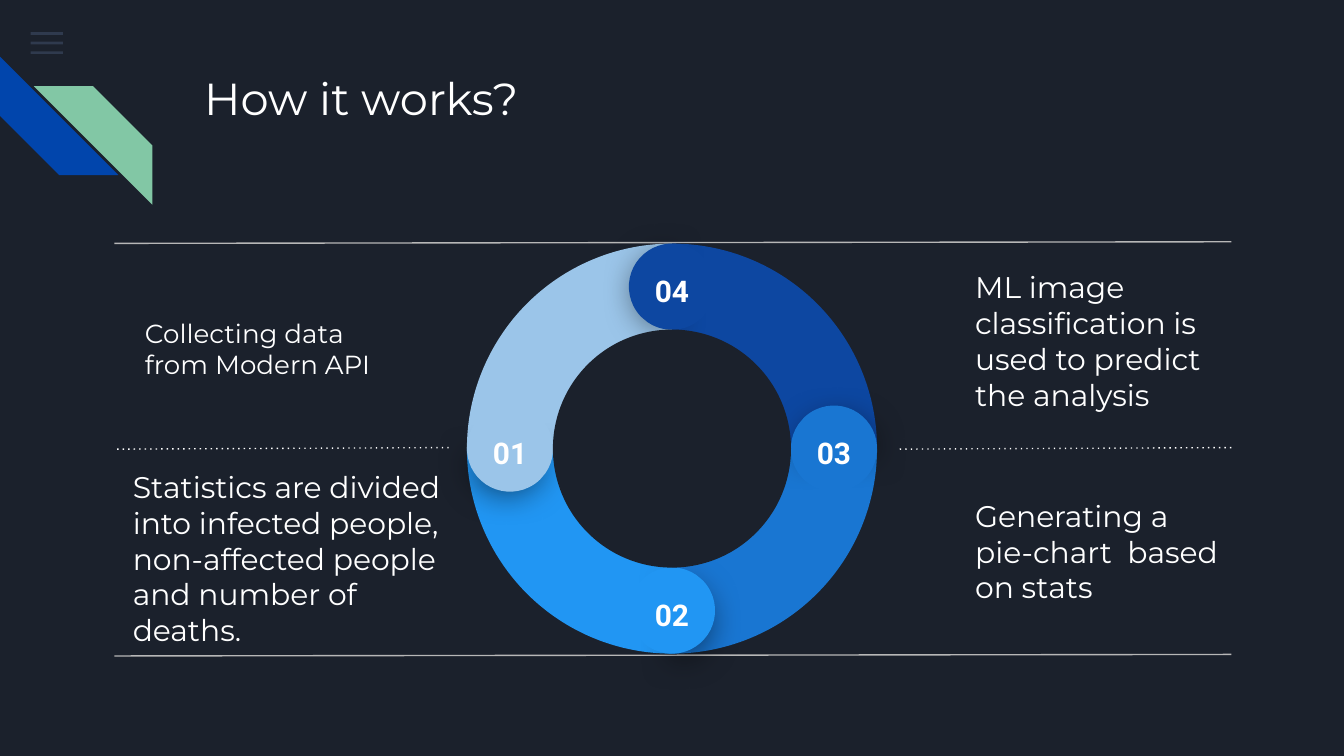
from dataclasses import dataclass
from math import cos, radians, sin

from lxml.etree import SubElement
from pptx import Presentation
from pptx.dml.color import RGBColor
from pptx.enum.shapes import MSO_CONNECTOR, MSO_SHAPE as SHAPE
from pptx.enum.text import MSO_ANCHOR as ANCHOR, MSO_AUTO_SIZE, PP_ALIGN as ALIGN
from pptx.oxml.ns import qn
from pptx.util import Cm, Pt


@dataclass(frozen=True)
class Theme:
    background: str = "1B212C"
    text: str = "FFFFFF"
    rule: str = "B7B7B7"
    menu: str = "55688B"
    stripe_blue: str = "0145AC"
    stripe_green: str = "82C7A5"
    shadow: str = "000000"
    steps: tuple = ("9BC5E9", "2196F3", "1976D2", "0D47A1")
    font: str = "Montserrat"
    number_font: str = "Roboto"
    title_size: int = 24
    body_size: int = 16
    small_size: int = 14


def angles(*degrees):
    """Turn degrees into python-pptx adjustments (60000ths over 100000)."""
    return [d * 0.6 for d in degrees]


class SlideBuilder:
    def __init__(self, slide, theme):
        self.slide = slide
        self.theme = theme
        fill = slide.background.fill
        fill.solid()
        fill.fore_color.rgb = RGBColor.from_string(theme.background)

    def shape(self, kind, x, y, w, h, color, adj=(), rot=0, flip=False, alpha=None):
        sp = self.slide.shapes.add_shape(kind, Cm(x), Cm(y), Cm(w), Cm(h))
        sp.shadow.inherit = False
        sp.fill.solid()
        sp.fill.fore_color.rgb = RGBColor.from_string(color)
        sp.line.fill.background()
        sp.rotation = rot
        for i, value in enumerate(adj):
            sp.adjustments[i] = value
        spPr = sp._element.spPr
        if flip:
            spPr.find(qn("a:xfrm")).set("flipH", "1")
        if alpha:
            clr = spPr.find(qn("a:solidFill")).find(qn("a:srgbClr"))
            SubElement(clr, qn("a:alpha"), val=str(alpha * 1000))
        return sp

    def disc(self, kind, cx, cy, size, color, **options):
        """Add a round shape by its centre."""
        return self.shape(kind, cx - size / 2, cy - size / 2, size, size, color, **options)

    def cast_shadow(self, sp):
        effects = sp._element.spPr.find(qn("a:effectLst"))
        outer = SubElement(effects, qn("a:outerShdw"), blurRad=str(Pt(18)),
                           dist=str(Pt(4)), dir="5400000", rotWithShape="0")
        clr = SubElement(outer, qn("a:srgbClr"), val=self.theme.shadow)
        SubElement(clr, qn("a:alpha"), val="55000")

    def line(self, x1, y1, x2, y2, color, dotted=False):
        cxn = self.slide.shapes.add_connector(
            MSO_CONNECTOR.STRAIGHT, Cm(x1), Cm(y1), Cm(x2), Cm(y2))
        cxn.line.color.rgb = RGBColor.from_string(color)
        cxn.line.width = Pt(0.75)
        spPr = cxn._element.spPr
        if dotted:
            SubElement(spPr.find(qn("a:ln")), qn("a:prstDash"), val="dot")
        SubElement(spPr, qn("a:effectLst"))

    def set_text(self, sp, text, size, font, bold=False, align=ALIGN.LEFT, anchor=ANCHOR.TOP):
        tf = sp.text_frame
        tf.word_wrap = True
        tf.auto_size = MSO_AUTO_SIZE.NONE
        tf.vertical_anchor = anchor
        tf.margin_left = tf.margin_right = tf.margin_top = tf.margin_bottom = Cm(0.25)
        p = tf.paragraphs[0]
        p.alignment = align
        r = p.add_run()
        r.text = text
        r.font.size = Pt(size)
        r.font.name = font
        r.font.bold = bold
        r.font.color.rgb = RGBColor.from_string(self.theme.text)

    def title(self, text, x, y, w, h):
        sp = self.slide.shapes.title
        sp.left, sp.top, sp.width, sp.height = Cm(x), Cm(y), Cm(w), Cm(h)
        self.set_text(sp, text, self.theme.title_size, self.theme.font)

    def textbox(self, text, x, y, w, h, size, font=None, **options):
        sp = self.slide.shapes.add_textbox(Cm(x), Cm(y), Cm(w), Cm(h))
        self.set_text(sp, text, size, font or self.theme.font, **options)


def add_corner(s):
    t = s.theme
    for i in range(3):
        s.shape(SHAPE.RECTANGLE, 0.58, 0.61 + 0.18 * i, 0.61, 0.05, t.menu, alpha=36)
    s.shape(SHAPE.DIAGONAL_STRIPE, 0, 1.07, 2.24, 2.24, t.stripe_blue, adj=[0.5], rot=270)
    s.shape(SHAPE.DIAGONAL_STRIPE, 0.64, 1.63, 2.24, 2.24, t.stripe_green, adj=[0.5], flip=True)


def add_descriptions(s):
    t = s.theme
    for text, x, y, w, h, size in (
        ("Collecting data from Modern API", 2.49, 5.82, 5.16, 1.55, t.small_size),
        ("Statistics are divided into infected people, non-affected people "
         "and number of deaths.", 2.26, 9.52, 6.83, 2.06, t.body_size),
        ("ML image classification is used to predict the analysis",
         18.18, 5.82, 5.16, 1.24, t.body_size),
        ("Generating a pie-chart  based on stats", 18.18, 9.8, 5.16, 1.24, t.body_size),
    ):
        s.textbox(text, x, y, w, h, size, anchor=ANCHOR.MIDDLE)


def add_rules(s):
    left, right, dotted_length = 2.16, 23.27, 6.32
    for y in (4.57, 12.37):
        s.line(right, y, left, y + 0.03, s.theme.rule)
    for end in (left + dotted_length, right):
        s.line(end, 8.46, end - dotted_length, 8.49, s.theme.text, dotted=True)


def add_ring(s):
    """Draw four quarter rings, each led by a round numbered cap."""
    t = s.theme
    cx, cy = 12.7, 8.48
    for i in (0, 3, 2, 1):
        s.disc(SHAPE.PIE, cx, cy, 7.75, t.steps[i], adj=angles(180, 270), rot=-90 * i % 360)
    for i, color in enumerate(t.steps):
        turn = -90 * i
        dx, dy = cos(radians(180 + turn)), sin(radians(180 + turn))
        shade = s.disc(SHAPE.PIE, cx + 3.12 * dx, cy + 3.12 * dy, 1.45, color,
                       adj=angles(316, 140), rot=(39.5 + turn) % 360)
        s.cast_shadow(shade)
        s.disc(SHAPE.CHORD, cx + 3.06 * dx, cy + 3.06 * dy, 1.63, color,
               adj=angles(41.7, 30.2), rot=(4.1 + turn) % 360)
        s.textbox(f"{i + 1:02}", cx + 3.06 * dx - 0.71, cy + 3.06 * dy - 0.52, 1.42, 0.74,
                  t.body_size, t.number_font, bold=True, align=ALIGN.CENTER)
    s.disc(SHAPE.OVAL, cx, cy, 4.5, t.background)


def main():
    prs = Presentation()
    prs.slide_width, prs.slide_height = Cm(25.4), Cm(14.29)
    s = SlideBuilder(prs.slides.add_slide(prs.slide_layouts[5]), Theme())
    add_corner(s)
    s.title("How it works?", 3.61, 1.09, 19.56, 2.54)
    add_descriptions(s)
    add_rules(s)
    add_ring(s)
    prs.save("out.pptx")


if __name__ == "__main__":
    main()
